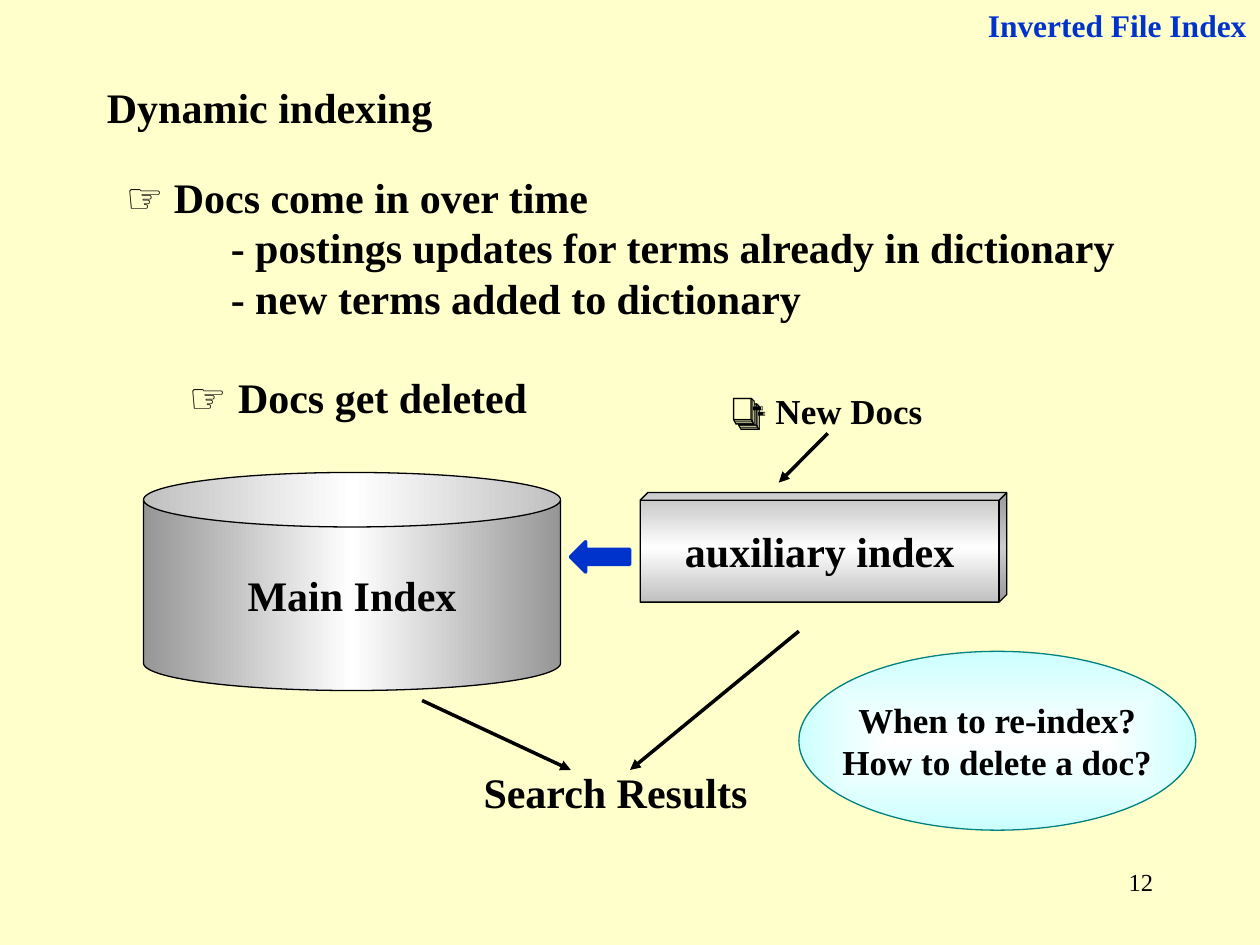
from pptx import Presentation
from pptx.dml.color import RGBColor
from pptx.enum.shapes import MSO_CONNECTOR, MSO_SHAPE
from pptx.enum.text import MSO_ANCHOR, PP_ALIGN
from pptx.oxml import parse_xml
from pptx.oxml.ns import nsdecls
from pptx.util import Pt

CREAM = RGBColor(0xFF, 0xFF, 0xCC)
BLACK = RGBColor(0x00, 0x00, 0x00)
BLUE = RGBColor(0x00, 0x33, 0xCC)
TEAL = RGBColor(0x00, 0x80, 0x80)
WHITE = RGBColor(0xFF, 0xFF, 0xFF)
GREY = RGBColor(0x96, 0x96, 0x96)
SILVER = RGBColor(0xC0, 0xC0, 0xC0)
PALE_CYAN = RGBColor(0xCC, 0xFF, 0xFF)


def write(tf, text, symbol="", size=24, color=BLACK, bold=True,
          align=PP_ALIGN.LEFT, indent=0, before=0):
    p = tf.paragraphs[0]
    if p.runs:
        p = tf.add_paragraph()
    p.alignment = align
    p.space_before = Pt(before)
    p._p.get_or_add_pPr().set("marL", str(Pt(indent)))
    for part, font in ((symbol, "Arial"), (text, "Times New Roman")):
        if part:
            r = p.add_run()
            r.text = part
            r.font.name = font
            r.font.size = Pt(size)
            r.font.bold = bold
            r.font.color.rgb = color


def gradient(sp, stops, direction):
    gs = "".join(f'<a:gs pos="{pos * 1000}"><a:srgbClr val="{color}"/></a:gs>'
                 for pos, color in stops)
    sp.fill.background()
    no_fill = sp._element.spPr.find("{*}noFill")
    no_fill.getparent().replace(no_fill, parse_xml(
        f'<a:gradFill {nsdecls("a")} rotWithShape="1"><a:gsLst>{gs}</a:gsLst>'
        f'{direction}</a:gradFill>'))


prs = Presentation()
prs.slide_width, prs.slide_height = Pt(720), Pt(540)
s = prs.slides.add_slide(prs.slide_layouts[6])
s.background.fill.solid()
s.background.fill.fore_color.rgb = CREAM

boxes = [
    ((516, 492, 150, 36),
     [("12", dict(size=14, bold=False, align=PP_ALIGN.RIGHT))]),
    ((541.5, 0, 178, 29),
     [("Inverted File Index", dict(size=18, color=BLUE, align=PP_ALIGN.RIGHT))]),
    ((54, 43.2, 249, 36), [("Dynamic indexing", {})]),
    ((64.8, 94.4, 584, 151), [
        (" Docs come in over time", dict(symbol="☞")),
        ("- postings updates for terms already in dictionary", dict(indent=60)),
        ("- new terms added to dictionary", dict(indent=60)),
        ("Docs get deleted", dict(symbol="☞ ", indent=36, before=28)),
    ]),
    ((411, 219, 148, 32), [(" New Docs", dict(symbol="📑", size=20))]),
    ((269.2, 434.2, 176, 36), [("Search Results", {})]),
]
for place, lines in boxes:
    tf = s.shapes.add_textbox(*map(Pt, place)).text_frame
    tf.word_wrap = True
    for text, style in lines:
        write(tf, text, **style)

center = '<a:path path="rect"><a:fillToRect l="50000" t="50000" r="50000" b="50000"/></a:path>'
shapes = [
    (MSO_SHAPE.CAN, (82, 270, 238.3, 124.6), 0.25, BLACK,
     [(0, GREY), (50, WHITE), (100, GREY)], '<a:lin ang="0" scaled="1"/>',
     ["Main Index"], 24),
    (MSO_SHAPE.CUBE, (365.8, 281.5, 209.5, 62.6), 0.07, BLACK,
     [(0, SILVER), (50, WHITE), (100, SILVER)], '<a:lin ang="5400000" scaled="1"/>',
     ["auxiliary index"], 24),
    (MSO_SHAPE.OVAL, (456.5, 372.2, 226.8, 102.2), None, TEAL,
     [(0, WHITE), (100, PALE_CYAN)], center,
     ["When to re-index?", "How to delete a doc?"], 20),
]
for kind, place, adj, line, stops, direction, lines, size in shapes:
    sp = s.shapes.add_shape(kind, *map(Pt, place))
    sp.shadow.inherit = False
    if adj is not None:
        sp.adjustments[0] = adj
    gradient(sp, stops, direction)
    sp.line.color.rgb = line
    sp.line.width = Pt(0.75)
    tf = sp.text_frame
    tf.word_wrap = False
    tf.vertical_anchor = MSO_ANCHOR.MIDDLE
    for text in lines:
        write(tf, text, size=size, align=PP_ALIGN.CENTER)

sp = s.shapes.add_shape(MSO_SHAPE.LEFT_ARROW, Pt(326), Pt(309.6), Pt(33.8), Pt(17.3))
sp.shadow.inherit = False
sp.fill.solid()
sp.fill.fore_color.rgb = BLUE
sp.line.color.rgb = BLUE
sp.line.width = Pt(2)

arrows = [
    (473, 247.7, 445, 275.8),
    (241.2, 400.3, 326.2, 440),
    (456.5, 360.7, 360, 440),
]
for ends in arrows:
    c = s.shapes.add_connector(MSO_CONNECTOR.STRAIGHT, *map(Pt, ends))
    c.line.color.rgb = BLACK
    c.line.width = Pt(2)
    c.line._get_or_add_ln().append(parse_xml(f'<a:tailEnd {nsdecls("a")} type="triangle"/>'))
    c._element.spPr.append(parse_xml(f'<a:effectLst {nsdecls("a")}/>'))

prs.save("out.pptx")
